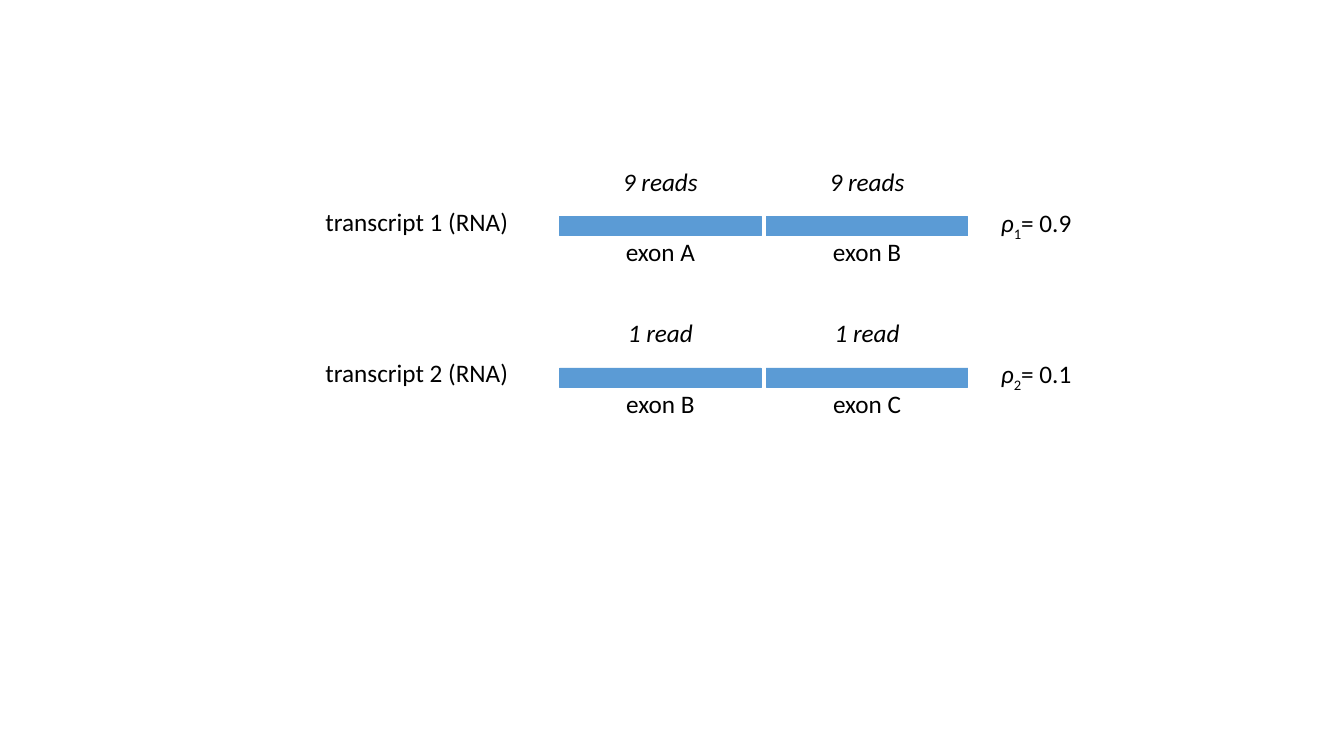
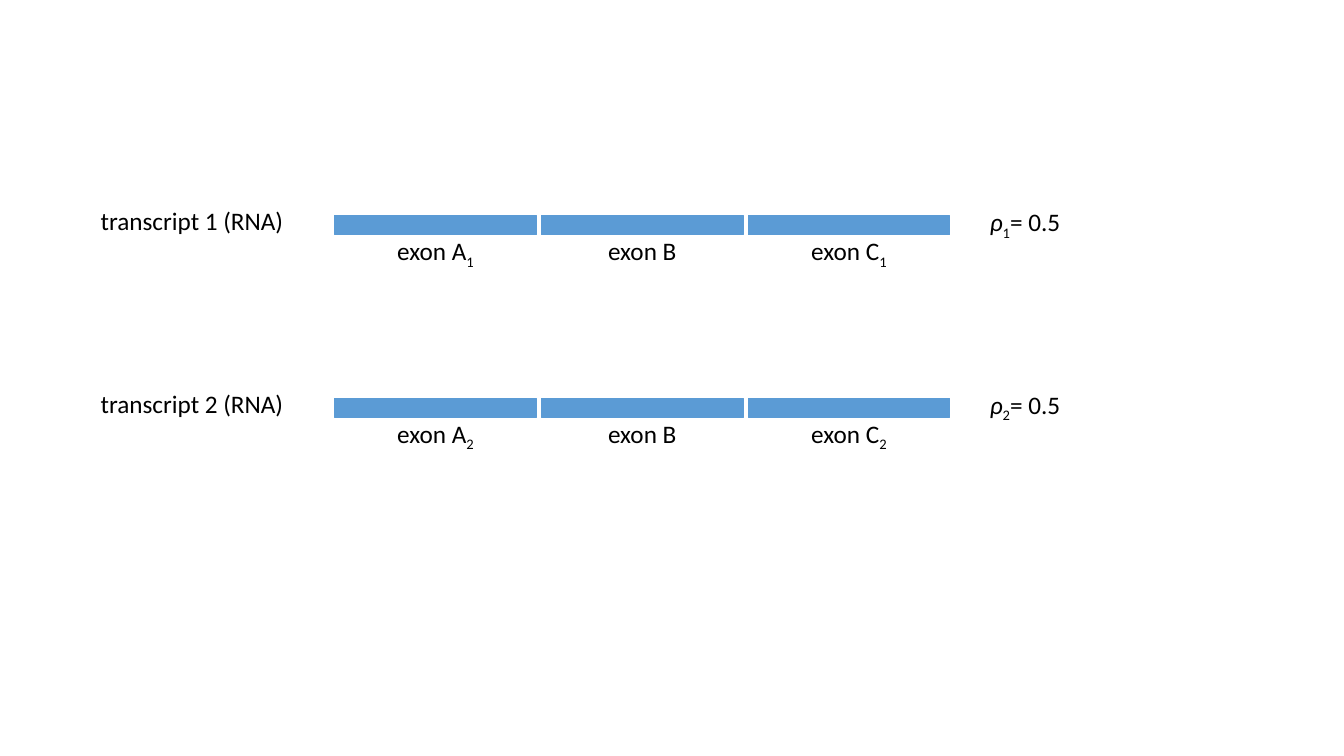
from pptx import Presentation
from pptx.dml.color import RGBColor
from pptx.enum.shapes import MSO_SHAPE
from pptx.enum.text import MSO_AUTO_SIZE, PP_ALIGN
from pptx.util import Inches, Pt

FONT, INK, EXON_BLUE = "Calibri", "000000", "5B9BD5"
ITALIC, SUBSCRIPT = "italic", "subscript"

DIAGRAMS = [
    {"left": 5.55, "top": 2.15, "row_pitch": 1.5, "share_left": 9.83, "transcripts": [
        {"exons": ["A", "B"], "reads": ["9 reads", "9 reads"], "share": "0.9"},
        {"exons": ["B", "C"], "reads": ["1 read", "1 read"], "share": "0.1"},
    ]},
    {"left": 3.32, "top": 2.14, "row_pitch": 1.81, "share_left": 9.72, "transcripts": [
        {"exons": ["A1", "B", "C1"], "reads": [], "share": "0.5"},
        {"exons": ["A2", "B", "C2"], "reads": [], "share": "0.5"},
    ]},
]

EXON_WIDTH, EXON_HEIGHT, EXON_PITCH = 2, 0.19, 2.05
EXON_LABEL_WIDTH, SIDE_WIDTH, TEXT_HEIGHT = 1.08, 2.66, 0.4
NAME_OFFSET = 2.42


def color(value):
    return RGBColor.from_string(value)


def add_text(slide, runs, left, top, width, align=PP_ALIGN.LEFT, size=18):
    box = slide.shapes.add_textbox(*map(Inches, (left, top, width, TEXT_HEIGHT)))
    frame = box.text_frame
    frame.word_wrap = True
    frame.auto_size = MSO_AUTO_SIZE.SHAPE_TO_FIT_TEXT
    paragraph = frame.paragraphs[0]
    paragraph.alignment = align
    for text, style in runs:
        run = paragraph.add_run()
        run.text = text
        run.font.name = FONT
        run.font.size = Pt(size)
        run.font.color.rgb = color(INK)
        if style == ITALIC:
            run.font.italic = True
        elif style == SUBSCRIPT:
            run.font._element.set("baseline", "-25000")


def add_exon(slide, exon, left, top):
    bar = slide.shapes.add_shape(
        MSO_SHAPE.RECTANGLE, *map(Inches, (left, top, EXON_WIDTH, EXON_HEIGHT)))
    bar.shadow.inherit = False
    bar.fill.solid()
    bar.fill.fore_color.rgb = color(EXON_BLUE)
    bar.line.color.rgb = color(EXON_BLUE)
    bar.line.width = Pt(0.5)
    label = [("exon " + exon[0], None)]
    if exon[1:]:
        label.append((exon[1:], SUBSCRIPT))
    inset = (EXON_WIDTH - EXON_LABEL_WIDTH) / 2
    add_text(slide, label, left + inset, top + 0.15, EXON_LABEL_WIDTH,
             align=PP_ALIGN.CENTER)


def add_transcript(slide, number, transcript, left, top, share_left):
    add_text(slide, [(f"transcript {number} (RNA)", None)],
             left - NAME_OFFSET, top - 0.15, SIDE_WIDTH)
    for column, exon in enumerate(transcript["exons"]):
        add_exon(slide, exon, left + column * EXON_PITCH, top)
    for column, reads in enumerate(transcript["reads"]):
        add_text(slide, [(reads, ITALIC)], left + column * EXON_PITCH, top - 0.55,
                 EXON_WIDTH, align=PP_ALIGN.CENTER)
    share = [("ρ", ITALIC), (str(number), SUBSCRIPT), ("= " + transcript["share"], None)]
    add_text(slide, share, share_left, top - 0.14, SIDE_WIDTH)


deck = Presentation()
deck.slide_width, deck.slide_height = Inches(13.33), Inches(7.5)
for diagram in DIAGRAMS:
    slide = deck.slides.add_slide(deck.slide_layouts[6])
    for row, transcript in enumerate(diagram["transcripts"]):
        add_transcript(slide, row + 1, transcript, diagram["left"],
                       diagram["top"] + row * diagram["row_pitch"],
                       diagram["share_left"])
deck.save("out.pptx")
